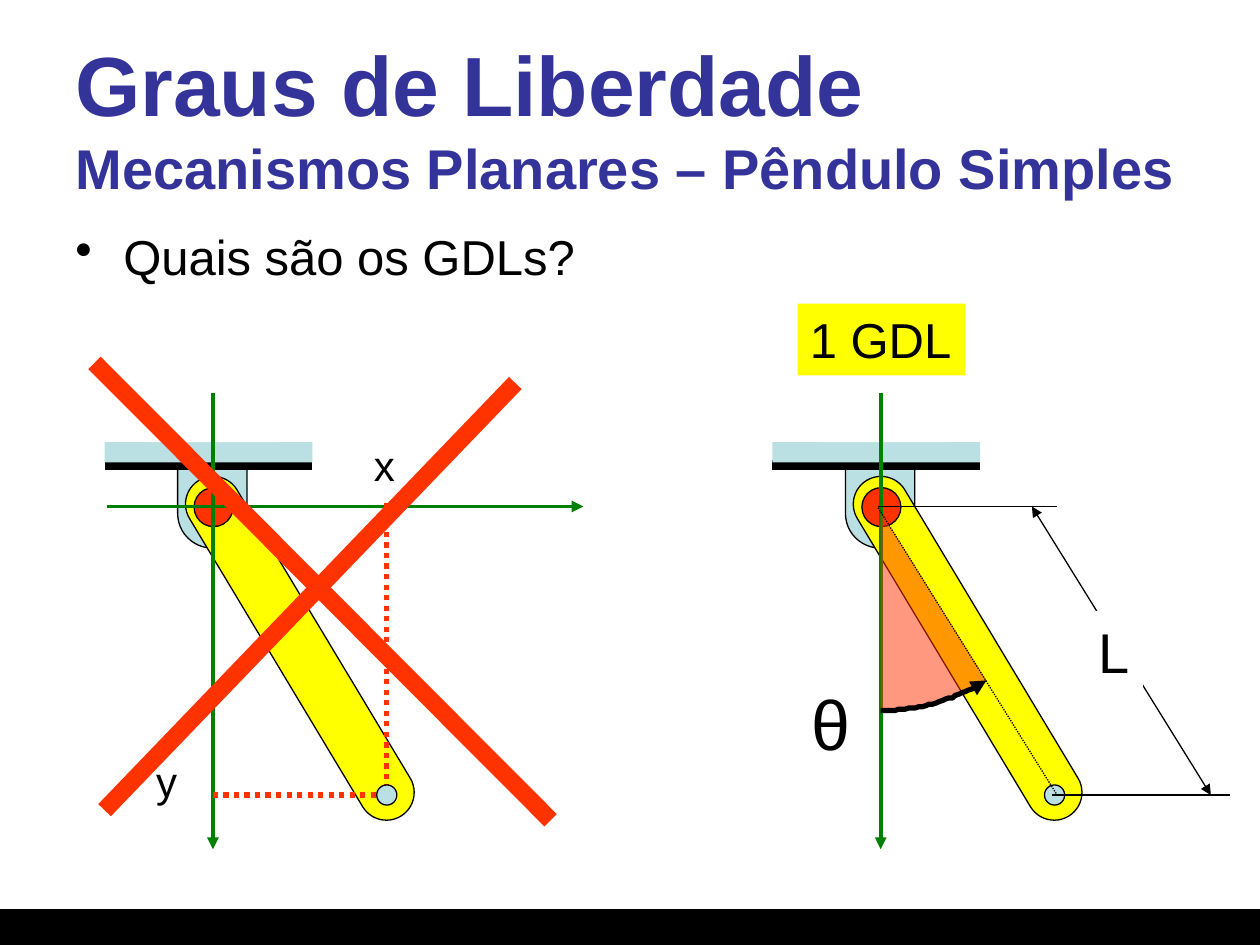
"""Build a slide on the degrees of freedom of a simple planar pendulum."""
from dataclasses import dataclass
from math import cos, radians, sin

from lxml import etree
from pptx import Presentation
from pptx import util as u
from pptx.dml.color import RGBColor
from pptx.enum import dml, shapes, text
from pptx.oxml.ns import qn

SCALE = 9144
FONT = "Arial"
BLACK, WHITE, NAVY = "000000", "FFFFFF", "333399"
GREEN, RED, YELLOW, STEEL = "008000", "FF3300", "FFFF00", "BBE0E3"
RECT = shapes.MSO_SHAPE.RECTANGLE
PILL = shapes.MSO_SHAPE.ROUNDED_RECTANGLE
OVAL = shapes.MSO_SHAPE.OVAL


@dataclass(frozen=True)
class Part:
    kind: int
    left: int
    top: int
    width: int
    height: int
    fill: str
    outlined: bool = True
    rotation: int = 0


@dataclass(frozen=True)
class Line:
    start: tuple[int, int]
    end: tuple[int, int]
    color: str = BLACK
    width: float = 0.75
    dotted: bool = False
    arrows: tuple[str, ...] = ()


@dataclass(frozen=True)
class Label:
    words: str
    left: int
    top: int
    width: int
    height: int
    size: int
    fill: str | None = None


PENDULUM = (
    Part(PILL, 141, 325, 55, 110, STEEL),
    Line((83, 369), (248, 369), width=6),
    Part(RECT, 83, 351, 165, 16, STEEL, False),
    Part(PILL, 216, 359, 44, 311, YELLOW, rotation=329),
    Part(OVAL, 154, 387, 31, 31, RED),
    Part(RECT, 120, 312, 102, 39, WHITE, False),
    Line((169, 312), (169, 674), GREEN, 2.25, arrows=("tailEnd",)),
)
TIP = Part(OVAL, 299, 623, 16, 16, STEEL)
CARTESIAN = (
    Line((463, 402), (85, 402), GREEN, 2.25, arrows=("headEnd",)),
    Line((169, 631), (311, 631), RED, 3, True),
    Line((307, 635), (307, 399), RED, 3, True),
    TIP,
    Label("x", 287, 344, 37, 50, 24),
    Label("y", 114, 595, 37, 50, 24),
    Line((75, 288), (437, 651), RED, 10),
    Line((409, 304), (83, 643), RED, 10),
)
DIMENSIONS = (
    Label("θ", 634, 535, 49, 77, 40),
    Line((819, 402), (961, 631), arrows=("headEnd", "tailEnd")),
    Line((697, 402), (839, 402)),
    Line((835, 631), (976, 631)),
    Label("L", 862, 485, 45, 63, 32, WHITE),
)
ROD_AXIS = Line((697, 403), (839, 631), dotted=True)
ANSWER = Label("1 GDL", 633, 241, 133, 57, 28, YELLOW)


def rgb(value: str) -> RGBColor:
    return RGBColor.from_string(value)


def emu(*lengths: int) -> list[int]:
    return [length * SCALE for length in lengths]


def style(target, **values) -> None:
    for name, value in values.items():
        setattr(target, name, value)


def paint(shape, color: str) -> None:
    shape.fill.solid()
    shape.fill.fore_color.rgb = rgb(color)


def stroke(shape, color: str, width: float, arrows: tuple[str, ...] = ()) -> None:
    shape.line.color.rgb = rgb(color)
    shape.line.width = u.Pt(width)
    for end in arrows:
        etree.SubElement(shape.line._get_or_add_ln(), qn(f"a:{end}"), type="triangle")


def draw_part(page, part: Part, shift: int) -> None:
    shape = page.shapes.add_shape(
        part.kind, *emu(part.left + shift, part.top, part.width, part.height))
    style(shape, rotation=part.rotation)
    shape.shadow.inherit = False
    if part.kind == PILL:
        shape.adjustments[0] = 0.5
    paint(shape, part.fill)
    if part.outlined:
        stroke(shape, BLACK, 0.75)
    else:
        shape.line.fill.background()


def draw_line(page, line: Line, shift: int) -> None:
    (x1, y1), (x2, y2) = line.start, line.end
    connector = page.shapes.add_connector(
        shapes.MSO_CONNECTOR.STRAIGHT, *emu(x1 + shift, y1, x2 + shift, y2))
    if line.dotted:
        connector.line.dash_style = dml.MSO_LINE.ROUND_DOT
    stroke(connector, line.color, line.width, line.arrows)
    etree.SubElement(connector._element.spPr, qn("a:effectLst"))


def add_span(para, words: str, size: int, color: str = BLACK, bold: bool = False) -> None:
    span = para.add_run()
    span.text = words
    style(span.font, name=FONT, size=u.Pt(size), bold=bold)
    span.font.color.rgb = rgb(color)


def draw_label(page, label: Label, shift: int) -> None:
    box = page.shapes.add_textbox(
        *emu(label.left + shift, label.top, label.width, label.height))
    style(box.text_frame, word_wrap=False, auto_size=text.MSO_AUTO_SIZE.SHAPE_TO_FIT_TEXT)
    if label.fill:
        paint(box, label.fill)
    add_span(box.text_frame.paragraphs[0], label.words, label.size)


def draw_all(page, items: tuple, shift: int = 0) -> None:
    draw = {Part: draw_part, Line: draw_line, Label: draw_label}
    for item in items:
        draw[type(item)](page, item, shift)


def draw_angle(page, pivot: tuple[int, int], radius: int, sweep: int) -> None:
    x, y = pivot
    arc = [(x + radius * sin(radians(a)), y + radius * cos(radians(a)))
           for a in range(sweep + 1)]

    def outline(points: list, close: bool):
        builder = page.shapes.build_freeform(*points[0], scale=SCALE)
        builder.add_line_segments(points[1:], close=close)
        shape = builder.convert_to_shape()
        shape.shadow.inherit = False
        return shape

    wedge = outline([*arc, pivot], True)
    paint(wedge, RED)
    wedge.line.fill.background()
    tint = wedge._element.spPr.find(f"{qn('a:solidFill')}/{qn('a:srgbClr')}")
    etree.SubElement(tint, qn("a:alpha"), val="50000")
    arrow = outline(arc, False)
    arrow.fill.background()
    stroke(arrow, BLACK, 3, ("tailEnd",))


def add_heading(page) -> None:
    box = page.shapes.add_textbox(*emu(50, 30, 900, 125))
    style(box.text_frame, word_wrap=True, vertical_anchor=text.MSO_ANCHOR.MIDDLE)
    para = box.text_frame.paragraphs[0]
    add_span(para, "Graus de Liberdade", 48, NAVY, True)
    para.add_line_break()
    add_span(para, "Mecanismos Planares – Pêndulo Simples", 32, NAVY, True)


def add_question(page) -> None:
    box = page.shapes.add_textbox(*emu(50, 175, 899, 495))
    box.text_frame.word_wrap = True
    para = box.text_frame.paragraphs[0]
    para.space_before = u.Pt(5.6)
    props = para._p.get_or_add_pPr()
    indent = 38 * SCALE
    props.set("marL", str(indent))
    props.set("indent", str(-indent))
    etree.SubElement(props, qn("a:buChar"), char="•")
    add_span(para, "Quais são os GDLs?", 28)


def main() -> None:
    deck = Presentation()
    style(deck, slide_width=1000 * SCALE, slide_height=750 * SCALE)
    page = deck.slides.add_slide(deck.slide_layouts[6])
    draw_all(page, (Part(RECT, 0, 722, 1000, 28, BLACK),))
    add_heading(page)
    add_question(page)
    draw_all(page, PENDULUM + CARTESIAN)
    draw_all(page, (*PENDULUM, TIP), 530)
    draw_all(page, DIMENSIONS)
    draw_angle(page, (699, 406), 158, 32)
    draw_all(page, (ROD_AXIS, ANSWER))
    deck.save("out.pptx")


if __name__ == "__main__":
    main()
